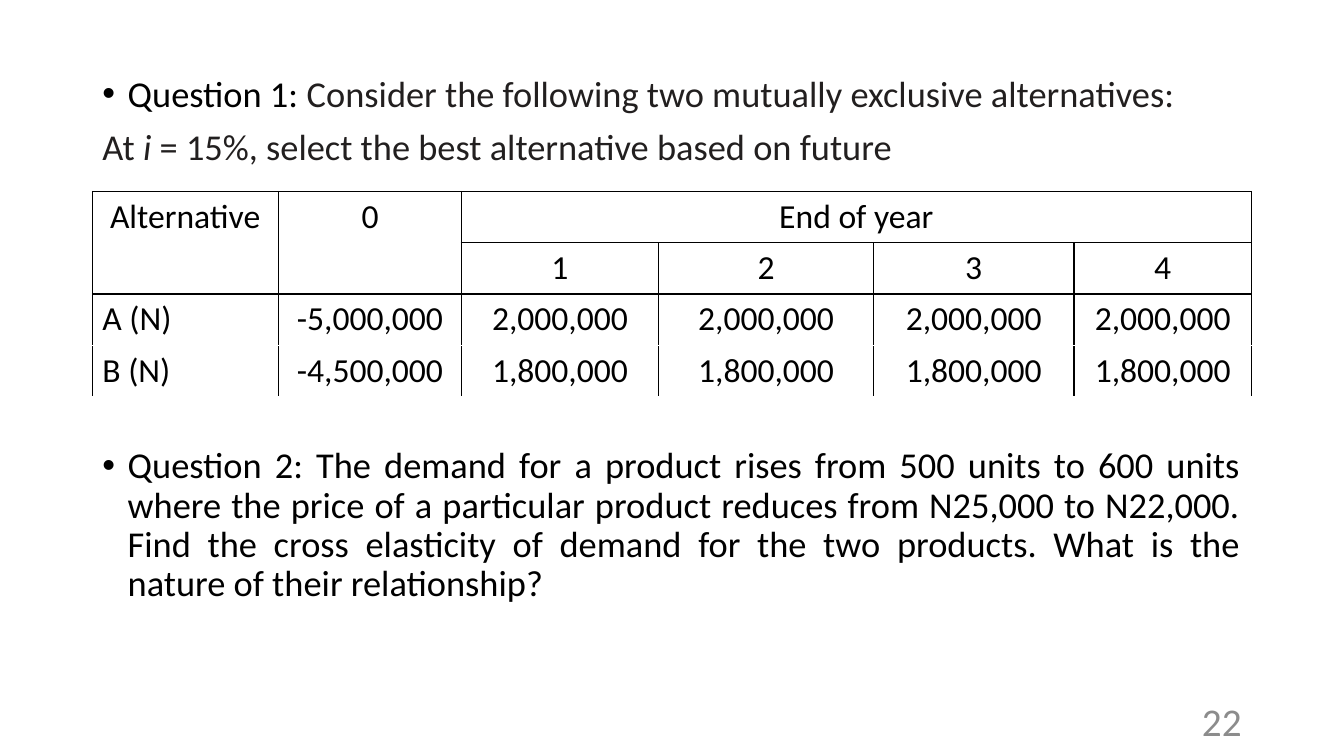
from pptx import Presentation
from pptx.dml.color import RGBColor
from pptx.enum.text import MSO_ANCHOR, MSO_AUTO_SIZE, PP_ALIGN
from pptx.util import Pt
from lxml.etree import SubElement
from pptx.oxml.ns import qn


def style(par, size, color, align):
    par.alignment = align
    for run in par.runs:
        run.font.name = "Calibri"
        run.font.size = Pt(size)
        run.font.color.rgb = RGBColor.from_string(color)


def edge(cell, side, color):
    line = SubElement(cell._tc.get_or_add_tcPr(), qn("a:ln" + side), w=str(Pt(1)))
    fill = SubElement(line, qn("a:solidFill"))
    SubElement(fill, qn("a:srgbClr"), val=color)


deck = Presentation()
deck.slide_width, deck.slide_height = Pt(960), Pt(540)
slide = deck.slides.add_slide(deck.slide_layouts[1])
title = slide.shapes.title
title.element.getparent().remove(title.element)

body = slide.placeholders[1]
body.left, body.top, body.width, body.height = Pt(66), Pt(50.4), Pt(828), Pt(436)
frame = body.text_frame
frame.auto_size = MSO_AUTO_SIZE.NONE
lines = [
    (["Question 1: ", "Consider the following two mutually exclusive alternatives:"], "221F1F", 10, True),
    (["At ", "i ", "= 15%, select the best alternative based on future"], "221F1F", 10, False),
    (["Question 2: The demand for a product rises from 500 units to 600 units "
      "where the price of a particular product reduces from N25,000 to N22,000. "
      "Find the cross elasticity of demand for the two products. "
      "What is the nature of their relationship?"], "000000", 199.5, True),
]
for num, (parts, color, gap, dot) in enumerate(lines):
    par = frame.add_paragraph() if num else frame.paragraphs[0]
    for part in parts:
        par.add_run().text = part
    style(par, 26, color, PP_ALIGN.JUSTIFY)
    par.line_spacing = 0.9
    par.space_before = Pt(gap)
    props = par._p.get_or_add_pPr()
    props.set("marL", str(Pt(18 if dot else 0)))
    props.set("indent", str(Pt(-18 if dot else 0)))
    if dot:
        SubElement(props, qn("a:buFont"), typeface="Arial")
        SubElement(props, qn("a:buChar"), char="•")
    else:
        SubElement(props, qn("a:buNone"))
frame.paragraphs[0].runs[0].font.color.rgb = RGBColor.from_string("000000")
frame.paragraphs[1].runs[1].font.italic = True

page = slide.shapes.add_textbox(Pt(678), Pt(500.5), Pt(216), Pt(28.8))
page.text_frame.word_wrap = True
page.text_frame.vertical_anchor = MSO_ANCHOR.MIDDLE
page.text_frame.text = "22"
style(page.text_frame.paragraphs[0], 28, "8C8C8C", PP_ALIGN.RIGHT)

rows = [
    [" Alternative", "0", "End of year", "", "", ""],
    ["", "", "1", "2", "3", "4"],
    ["A (N)", "-5,000,000"] + ["2,000,000"] * 4,
    ["B (N)", "-4,500,000"] + ["1,800,000"] * 4,
]
widths = [133.2, 130.3, 141.1, 153.4, 143.3, 126.7]
table = slide.shapes.add_table(4, 6, Pt(66), Pt(136.8), Pt(828), Pt(146.4)).table
table.first_row = table.horz_banding = False
for col, width in zip(table.columns, widths):
    col.width = Pt(width)
for r, row in enumerate(rows):
    table.rows[r].height = Pt(36.6)
    for c, text in enumerate(row):
        cell = table.cell(r, c)
        cell.text = text
        style(cell.text_frame.paragraphs[0], 24, "000000", PP_ALIGN.CENTER if c else PP_ALIGN.LEFT)
        edge(cell, "L", "000000")
        edge(cell, "R", "000000")
        edge(cell, "T", "FFFFFF" if r == 3 else "000000")
        edge(cell, "B", "FFFFFF" if r > 1 else "000000")
        cell.fill.solid()
        cell.fill.fore_color.rgb = RGBColor.from_string("FFFFFF")
for c in (0, 1):
    table.cell(0, c).merge(table.cell(1, c))
table.cell(0, 2).merge(table.cell(0, 5))

deck.save("out.pptx")
